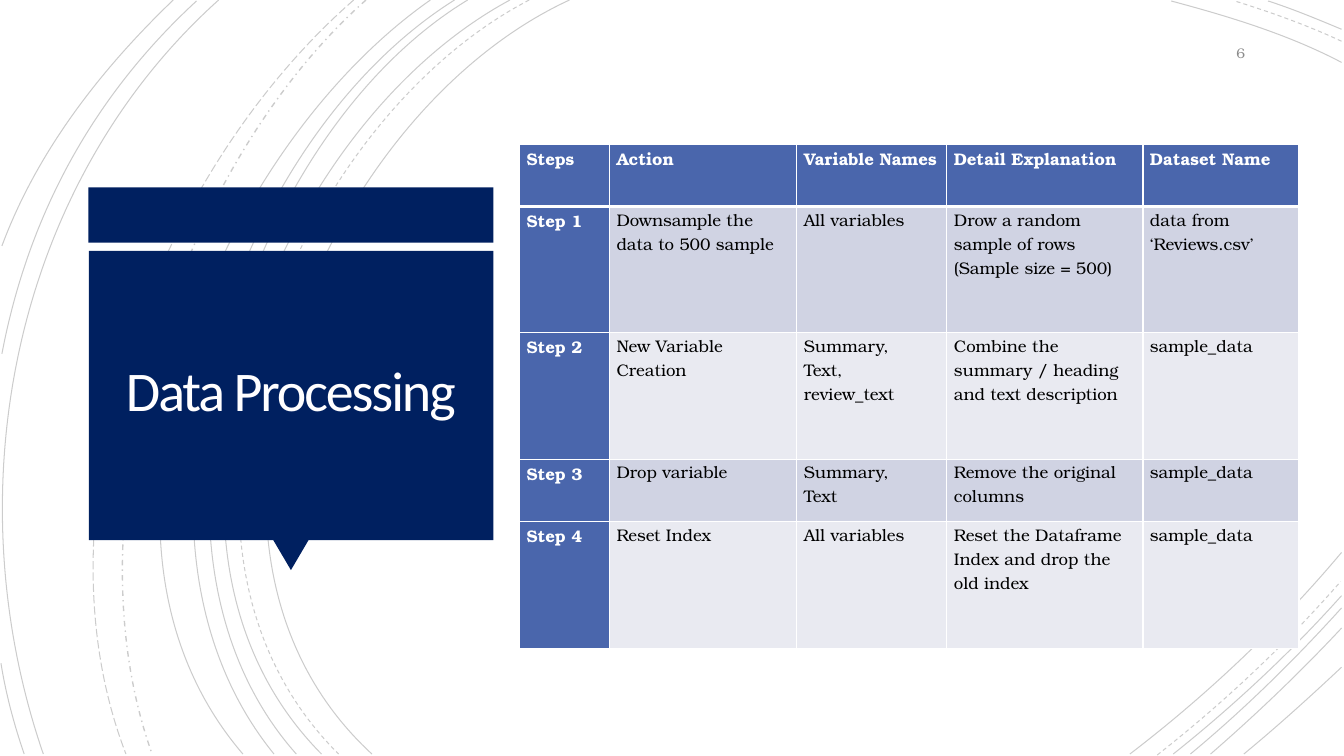
"""Build the Data Processing slide with its step table and arc backdrop."""
import pptx
import pptx.dml.color
import pptx.enum.dml
import pptx.enum.shapes
import pptx.enum.text
import pptx.oxml
import pptx.oxml.ns
import pptx.util
from lxml import etree

Pt = pptx.util.Pt
RGBColor = pptx.dml.color.RGBColor
SHAPE = pptx.enum.shapes.MSO_SHAPE
DASH = pptx.enum.dml.MSO_LINE
ALIGN = pptx.enum.text.PP_ALIGN
MIDDLE = pptx.enum.text.MSO_ANCHOR.MIDDLE
qn = pptx.oxml.ns.qn

BLACK = RGBColor(0x00, 0x00, 0x00)
WHITE = RGBColor(0xFF, 0xFF, 0xFF)
TITLE_WHITE = RGBColor(0xFF, 0xFE, 0xFF)
NAVY = RGBColor(0x00, 0x20, 0x60)
BLUE = RGBColor(0x4A, 0x66, 0xAC)
GREY = RGBColor(0x8C, 0x8C, 0x8C)
BANDS = [RGBColor(0xE9, 0xEA, 0xF1), RGBColor(0xD0, 0xD3, 0xE3)]
BODY_FONT = "TeX Gyre Bonum"
TITLE_FONT = "Calibri"

SOLID_ARCS = [
    [(406.8, 0), (226.8, 82.8), (103, 388.8), (265.7, 538.6)],
    [(364.3, 0), (194.4, 91.4), (79.2, 386.6), (229.7, 538.6)],
    [(334.1, 0), (175.7, 95.8), (79.2, 389.5), (211.7, 538.6)],
    [(324.7, 0), (166.3, 99.4), (69.8, 383.8), (195.8, 538.6)],
    [(307.4, 0), (156.2, 105.8), (38.2, 380.9), (173.5, 538.6)],
    [(156.2, 0), (7.9, 133.2), (-33.1, 352.8), (31, 538.6)],
    [(140.4, 0.7), (66.2, 69.1), (20.2, 154.1), (1.4, 252.7)],
    [(0.7, 473.8), (4.3, 496.1), (10.1, 517.7), (17.3, 538.6)],
    [(123.8, 0), (72, 49.7), (26.6, 108), (1.4, 175.7)],
    [(958.3, 44.6), (920.2, 24.5), (877, 11.5), (836.6, 0.7)],
    [(958.3, 20.9), (941, 13.7), (923.8, 6.5), (905.8, 0.7)],
    [(807.1, 538.6), (861.8, 496.8), (913.7, 447.8), (958.3, 394.6)],
    [(838.1, 538.6), (880.6, 504.7), (921.6, 466.6), (958.3, 425.5)],
    [(850.3, 538.6), (888.5, 506.9), (924.5, 471.6), (958.3, 434.2)],
    [(864.7, 538.6), (897.1, 510.5), (928.8, 480.2), (958.3, 448.6)],
    [(888.5, 538.6), (912.2, 519.1), (935.3, 498.2), (958.3, 476.6)],
]
DASHED_ARCS = [
    [(378, 0), (205.2, 90), (88.6, 386.6), (241.9, 538.6)],
    [(958.3, 29.5), (933.8, 18), (907.2, 8.6), (882, 0.7)],
    [(826.6, 539.3), (873.4, 502.6), (918, 460.8), (957.6, 415.4)],
]
DASH_DOT_ARC = [(261.4, 0), (126.7, 119.5), (46.8, 366.5), (108.7, 538.6)]
LONG_DASH_ARC = [(252.7, 0), (113, 121.7), (20.9, 359.3), (90, 538.6)]

COLUMN_WIDTHS = [64.2, 133.8, 107.2, 140.1, 111.5]
ROW_HEIGHTS = [44.6, 90.3, 90.3, 44.6, 90.3]
STEPS = [
    ["Steps", "Action", "Variable Names", "Detail Explanation", "Dataset Name"],
    ["Step 1", "Downsample the data to 500 sample", "All variables",
     "Drow a random sample of rows (Sample size = 500)", "data from ‘Reviews.csv’"],
    ["Step 2", "New Variable Creation", "Summary,\nText,\nreview_text",
     "Combine the summary / heading and text description", "sample_data"],
    ["Step 3", "Drop variable", "Summary,\nText",
     "Remove the original columns", "sample_data"],
    ["Step 4", "Reset Index", "All variables",
     "Reset the Dataframe Index and drop the old index", "sample_data"],
]


def bend(sp):
    """Turn the three straight segments of a freeform into one cubic curve."""
    segments = list(sp._element.iter(qn("a:lnTo")))
    curve = etree.SubElement(segments[0].getparent(), qn("a:cubicBezTo"))
    for segment in segments:
        curve.append(segment[0])
        segment.getparent().remove(segment)


def add_arc(s, arc, dash=DASH.SOLID, width=0.75):
    """Draw a faint open curve."""
    points = [(Pt(x), Pt(y)) for x, y in arc]
    builder = s.shapes.build_freeform(*points[0])
    builder.add_line_segments(points[1:], close=False)
    sp = builder.convert_to_shape()
    bend(sp)
    sp.shadow.inherit = False
    sp.fill.background()
    sp.line.color.rgb = BLACK
    sp.line.width = Pt(width)
    sp.line.dash_style = dash
    color = sp.line._ln.find(".//" + qn("a:srgbClr"))
    etree.SubElement(color, qn("a:alpha"), val="20000")


def add_block(s, kind, left, top, width, height, rotation=0):
    """Add a plain navy shape."""
    sp = s.shapes.add_shape(kind, Pt(left), Pt(top), Pt(width), Pt(height))
    sp.shadow.inherit = False
    sp.fill.solid()
    sp.fill.fore_color.rgb = NAVY
    sp.line.fill.background()
    sp.rotation = rotation


def style_paragraph(p, font, size, color, bold=False):
    """Set the font of a paragraph."""
    p.font.name = font
    p.font.size = Pt(size)
    p.font.color.rgb = color
    p.font.bold = bold


def add_text(s, text, box, font, size, color, align):
    """Add a one-paragraph text box and return its paragraph."""
    tf = s.shapes.add_textbox(*[Pt(v) for v in box]).text_frame
    tf.word_wrap = True
    tf.vertical_anchor = MIDDLE
    p = tf.paragraphs[0]
    p.text = text
    p.alignment = align
    style_paragraph(p, font, size, color)
    return p


def add_borders(cell, bottom):
    """Give a cell white borders; bottom is the lower width in points."""
    tcPr = cell._tc.get_or_add_tcPr()
    widths = {"a:lnL": 1, "a:lnR": 1, "a:lnT": 1, "a:lnB": bottom}
    for i, (tag, width) in enumerate(widths.items()):
        ln = etree.Element(qn(tag), w=str(Pt(width)))
        fill = etree.SubElement(ln, qn("a:solidFill"))
        etree.SubElement(fill, qn("a:srgbClr"), val=str(WHITE))
        tcPr.insert(i, ln)


def fill_cell(cell, text, row, column):
    """Write and colour one table cell."""
    heading = row == 0 or column == 0
    cell.margin_left = cell.margin_right = Pt(5)
    cell.margin_top = cell.margin_bottom = Pt(0)
    cell.fill.solid()
    cell.fill.fore_color.rgb = BLUE if heading else BANDS[row % 2]
    cell.text = text
    for p in cell.text_frame.paragraphs:
        p.line_spacing = 1.07
        style_paragraph(p, BODY_FONT, 12, WHITE if heading else BLACK, heading)
    add_borders(cell, 3 if row == 0 else 1)


def add_step_table(s, left, top):
    """Add the table of processing steps."""
    size = Pt(sum(COLUMN_WIDTHS)), Pt(sum(ROW_HEIGHTS))
    table = s.shapes.add_table(len(STEPS), len(STEPS[0]), Pt(left), Pt(top), *size).table
    for column, width in zip(table.columns, COLUMN_WIDTHS):
        column.width = Pt(width)
    for row, height in zip(table.rows, ROW_HEIGHTS):
        row.height = Pt(height)
    for i, texts in enumerate(STEPS):
        for j, text in enumerate(texts):
            fill_cell(table.cell(i, j), text, i, j)


def main():
    """Build and save the slide."""
    prs = pptx.Presentation()
    prs.slide_width, prs.slide_height = Pt(960), Pt(540)
    s = prs.slides.add_slide(prs.slide_layouts[6])
    for arc in SOLID_ARCS:
        add_arc(s, arc)
    for arc in DASHED_ARCS:
        add_arc(s, arc, DASH.DASH)
    add_arc(s, DASH_DOT_ARC, DASH.DASH_DOT, 1)
    add_arc(s, LONG_DASH_ARC, DASH.LONG_DASH)
    add_block(s, SHAPE.RECTANGLE, 63.2, 133.8, 289.2, 39.6)
    add_block(s, SHAPE.ISOSCELES_TRIANGLE, 195.2, 385.8, 25.2, 21.4, 180)
    add_block(s, SHAPE.RECTANGLE, 63.5, 179.3, 288.9, 206.6)
    title = add_text(s, "Data Processing", (69.8, 185, 275.8, 193.7),
                     TITLE_FONT, 40, TITLE_WHITE, ALIGN.CENTER)
    title.line_spacing = 0.85
    title.runs[0].font._element.set("spc", "-150")
    add_text(s, "6", (824.4, 25.2, 72, 25.2), BODY_FONT, 10, GREY, ALIGN.RIGHT)
    add_step_table(s, 371.2, 102.9)
    prs.save("out.pptx")


if __name__ == "__main__":
    main()
